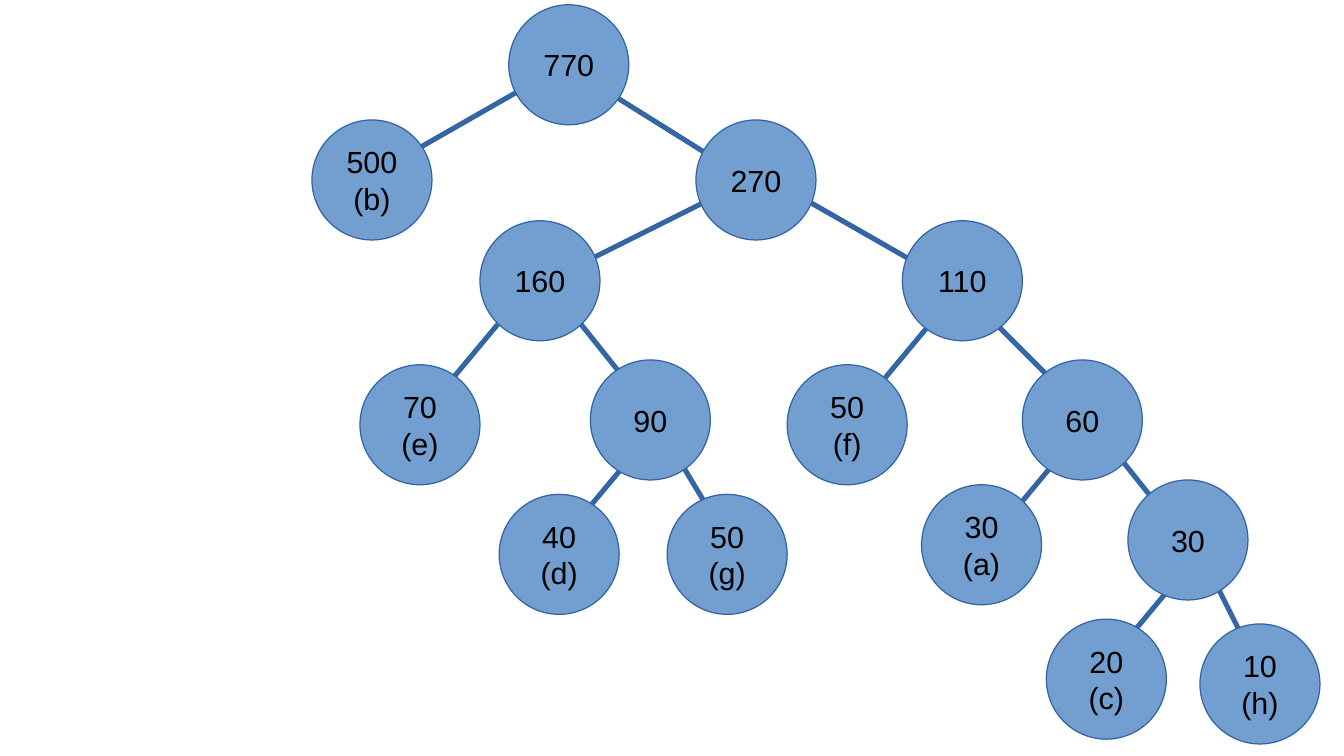
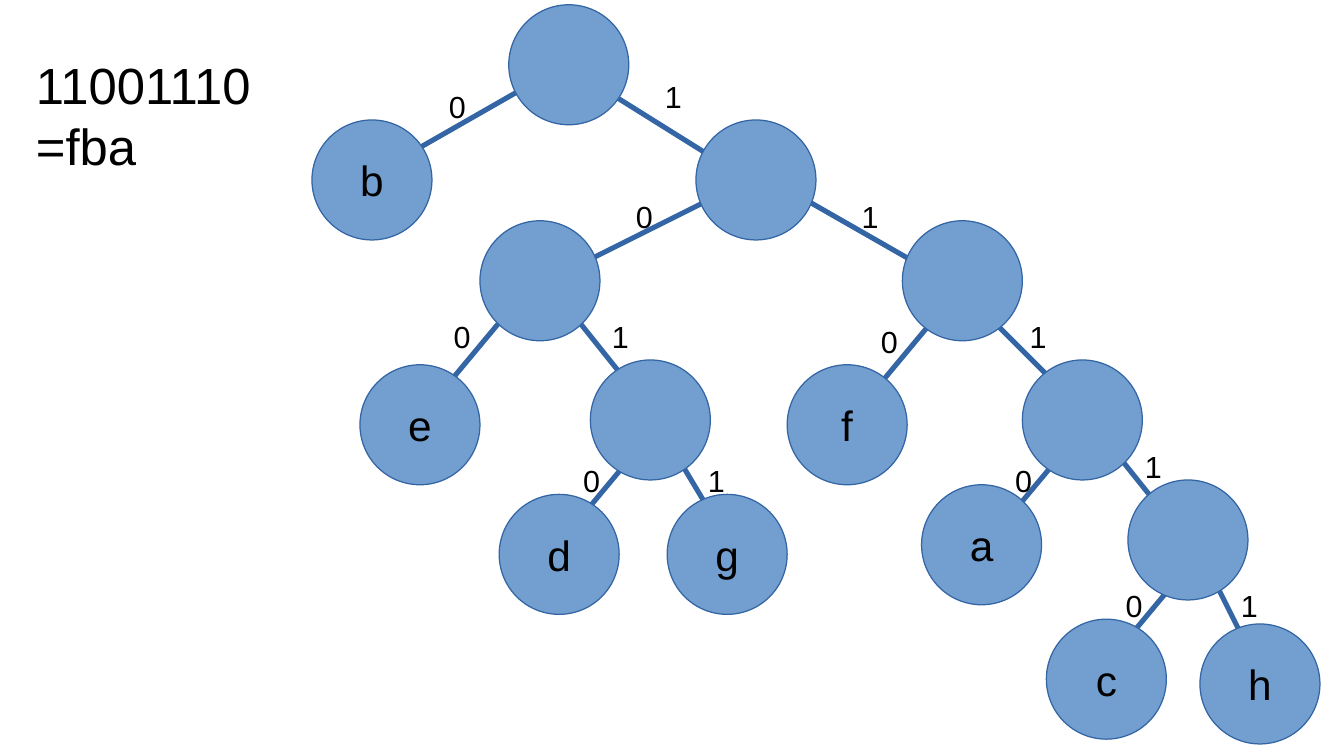
from dataclasses import dataclass

from lxml.etree import SubElement
from pptx import Presentation
from pptx.dml.color import RGBColor
from pptx.enum.shapes import MSO_CONNECTOR as Connector, MSO_SHAPE as Preset
from pptx.enum.text import MSO_ANCHOR as Anchor, MSO_AUTO_SIZE as AutoSize, PP_ALIGN as Align
from pptx.oxml.ns import qn
from pptx.util import Cm, Pt


@dataclass(frozen=True)
class Theme:
    fill: RGBColor = RGBColor(0x72, 0x9F, 0xCF)
    line: RGBColor = RGBColor(0x34, 0x65, 0xA4)
    text: RGBColor = RGBColor(0, 0, 0)
    font: str = "Arial"
    weight_size: int = 18
    letter_size: int = 25
    bit_size: int = 18
    example_size: int = 30
    edge_width: int = 3
    circle: float = 2.5
    bit_box: float = 1


@dataclass(frozen=True)
class Node:
    left: float
    top: float
    weight: str
    letter: str = ""


@dataclass(frozen=True)
class Edge:
    parent: tuple
    child: tuple
    bit: str
    bit_place: tuple


THEME = Theme()

NODES = [
    Node(19.2, 10.1, "30 (a)", "a"),
    Node(6.5, 2.5, "500 (b)", "b"),
    Node(21.8, 12.9, "20 (c)", "c"),
    Node(16.4, 7.6, "50 (f)", "f"),
    Node(25, 13, "10\n(h)", "h"),
    Node(23.5, 10, "30"),
    Node(21.3, 7.5, "60"),
    Node(18.8, 4.6, "110"),
    Node(14.5, 2.5, "270"),
    Node(10.6, 0.1, "770"),
    Node(7.5, 7.6, "70 (e)", "e"),
    Node(10.4, 10.3, "40 (d)", "d"),
    Node(13.9, 10.3, "50\n(g)", "g"),
    Node(12.3, 7.5, "90"),
    Node(10, 4.6, "160"),
]

EDGES = [
    Edge((11.5, 1.5), (8, 3.5), "0", (9.1, 1.7)),
    Edge((15.5, 3.8), (11.5, 5.8), "0", (13, 4)),
    Edge((11, 6), (8.5, 9), "0", (9.2, 6.5)),
    Edge((14, 8.5), (11.5, 11.5), "0", (11.9, 9.5)),
    Edge((20, 6), (17.5, 9), "0", (18.1, 6.6)),
    Edge((22.5, 9), (20, 12), "0", (20.9, 9.5)),
    Edge((25, 11.5), (22.5, 14.5), "0", (23.2, 12.1)),
    Edge((12, 1.5), (16, 4), "1", (13.6, 1.5)),
    Edge((16.5, 4), (20, 6), "1", (17.7, 4)),
    Edge((20, 6), (22.5, 8.5), "1", (21.2, 6.5)),
    Edge((11.5, 6), (13.5, 8.5), "1", (12.5, 6.5)),
    Edge((13.5, 8.5), (15, 11), "1", (14.5, 9.5)),
    Edge((22.5, 8.5), (24.5, 11), "1", (23.6, 9.2)),
    Edge((25, 11.5), (26.5, 14.5), "1", (25.6, 12.1)),
]


def write_text(frame, text, size, align=Align.LEFT, anchor=Anchor.TOP):
    frame.word_wrap = True
    frame.vertical_anchor = anchor
    for index, line in enumerate(text.split("\n")):
        paragraph = frame.add_paragraph() if index else frame.paragraphs[0]
        paragraph.alignment = align
        run = paragraph.add_run()
        run.text = line
        run.font.name = THEME.font
        run.font.size = Pt(size)
        run.font.color.rgb = THEME.text


def add_edge(slide, edge):
    points = [Cm(value) for value in edge.parent + edge.child]
    connector = slide.shapes.add_connector(Connector.STRAIGHT, *points)
    connector.line.color.rgb = THEME.line
    connector.line.width = Pt(THEME.edge_width)
    SubElement(connector.element.spPr, qn("a:effectLst"))


def add_node(slide, node, text, size):
    shape = slide.shapes.add_shape(
        Preset.OVAL, Cm(node.left), Cm(node.top), Cm(THEME.circle), Cm(THEME.circle))
    shape.shadow.inherit = False
    shape.fill.solid()
    shape.fill.fore_color.rgb = THEME.fill
    shape.line.color.rgb = THEME.line
    shape.line.width = Pt(0)
    if text:
        write_text(shape.text_frame, text, size, align=Align.CENTER, anchor=Anchor.MIDDLE)


def add_label(slide, left, top, width, height, text, size):
    box = slide.shapes.add_textbox(Cm(left), Cm(top), Cm(width), Cm(height))
    write_text(box.text_frame, text, size)
    box.text_frame.auto_size = AutoSize.SHAPE_TO_FIT_TEXT


def add_tree(presentation, field, size):
    slide = presentation.slides.add_slide(presentation.slide_layouts[6])
    for edge in EDGES:
        add_edge(slide, edge)
    for node in NODES:
        add_node(slide, node, getattr(node, field), size)
    return slide


def main():
    presentation = Presentation()
    presentation.slide_width = Cm(28)
    presentation.slide_height = Cm(15.75)

    add_tree(presentation, "weight", THEME.weight_size)

    code_slide = add_tree(presentation, "letter", THEME.letter_size)
    for edge in EDGES:
        add_label(code_slide, *edge.bit_place, THEME.bit_box, THEME.bit_box,
                  edge.bit, THEME.bit_size)
    add_label(code_slide, 0.5, 1, 6.5, 4.5, "11001110\n=fba", THEME.example_size)

    presentation.save("out.pptx")


if __name__ == "__main__":
    main()
